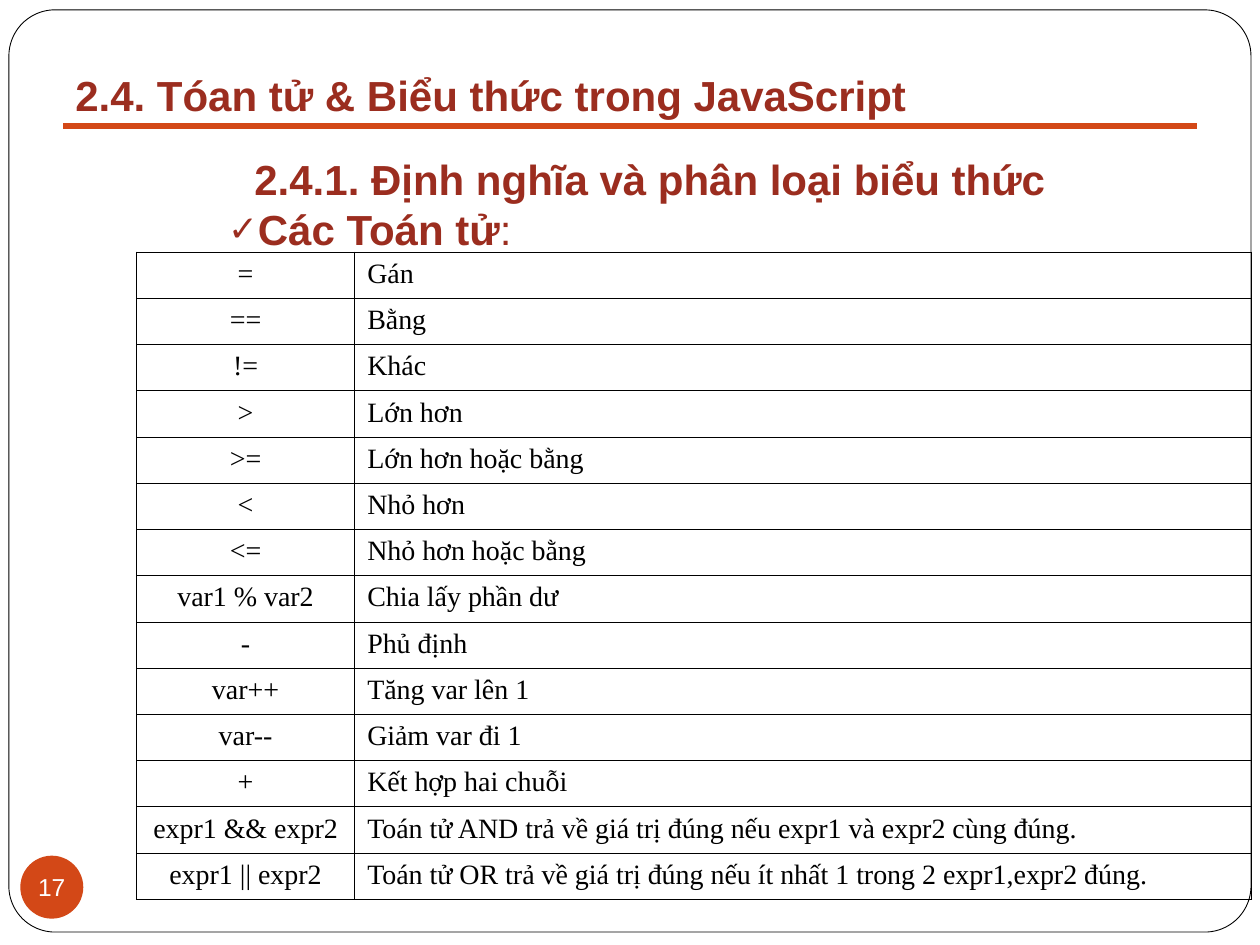
from lxml import etree
from pptx import Presentation
from pptx.dml.color import RGBColor
from pptx.enum import shapes, text
from pptx.oxml.ns import qn
from pptx.util import Cm, Pt

TITLE = "2.4. Tóan tử & Biểu thức trong JavaScript"
SECTION = "2.4.1. Định nghĩa và phân loại biểu thức"
TOPIC = "Các Toán tử"
PAGE = "17"
OPERATORS = [
    ("=", "Gán"),
    ("==", "Bằng"),
    ("!=", "Khác"),
    (">", "Lớn hơn"),
    (">=", "Lớn hơn hoặc bằng"),
    ("<", "Nhỏ hơn"),
    ("<=", "Nhỏ hơn hoặc bằng"),
    ("var1 % var2", "Chia lấy phần dư"),
    ("-", "Phủ định"),
    ("var++", "Tăng var lên 1"),
    ("var--", "Giảm var đi 1"),
    ("+", "Kết hợp hai chuỗi"),
    ("expr1 && expr2", "Toán tử AND trả về giá trị đúng nếu expr1 và expr2 cùng đúng."),
    ("expr1 || expr2", "Toán tử OR trả về giá trị đúng nếu ít nhất 1 trong 2 expr1,expr2 đúng."),
]

THEME = {
    "white": "FFFFFF", "black": "000000", "accent": "D34817", "heading": "9B2D1F",
    "sans": "Arial", "serif": "Times New Roman",
    "heading_size": 24, "cell_size": 16, "page_size": 14,
}
COL_WIDTHS = (4.4, 18.08)
ROW_HEIGHT = 0.93


def color(name):
    return RGBColor.from_string(THEME[name])


def add_run(p, words, size, font, tint, bold=False):
    r = p.add_run()
    r.text = words
    r.font.size = Pt(THEME[size])
    r.font.name = THEME[font]
    r.font.bold = bold
    r.font.color.rgb = color(tint)


def add_heading(p, words, bold=True):
    add_run(p, words, "heading_size", "sans", "heading", bold)


def add_filled(slide, kind, box, fill):
    sp = slide.shapes.add_shape(kind, *map(Cm, box))
    sp.shadow.inherit = False
    sp.fill.solid()
    sp.fill.fore_color.rgb = color(fill)
    sp.line.fill.background()
    return sp


def add_frame(slide):
    sp = add_filled(slide, shapes.MSO_SHAPE.ROUNDED_RECTANGLE, (0.18, 0.2, 25.04, 18.59), "white")
    sp.adjustments[0] = 0.05
    sp.line.color.rgb = color("black")
    sp.line.width = Pt(0.5)


def add_page_number(slide):
    sp = add_filled(slide, shapes.MSO_SHAPE.OVAL, (0.41, 17.25, 1.27, 1.27), "accent")
    tf = sp.text_frame
    tf.margin_left = tf.margin_right = tf.margin_top = tf.margin_bottom = 0
    tf.word_wrap = False
    tf.vertical_anchor = text.MSO_ANCHOR.MIDDLE
    p = tf.paragraphs[0]
    p.alignment = text.PP_ALIGN.CENTER
    add_run(p, PAGE, "page_size", "sans", "white")


def add_rule(slide):
    line = slide.shapes.add_connector(
        shapes.MSO_CONNECTOR.STRAIGHT, Cm(1.27), Cm(2.54), Cm(24.13), Cm(2.54))
    line.line.color.rgb = color("accent")
    line.line.width = Pt(3)
    etree.SubElement(line._element.spPr, qn("a:effectLst"))


def add_title(slide):
    tf = slide.shapes.add_textbox(Cm(1.27), Cm(1.27), Cm(17.8), Cm(1.27)).text_frame
    tf.word_wrap = True
    tf.vertical_anchor = text.MSO_ANCHOR.MIDDLE
    tf.paragraphs[0].alignment = text.PP_ALIGN.LEFT
    add_heading(tf.paragraphs[0], TITLE)


def indent(p, first):
    pPr = p._p.get_or_add_pPr()
    pPr.set("marL", str(Cm(2.54)))
    pPr.set("indent", str(Cm(first)))
    return pPr


def add_check_bullet(pPr):
    clr = etree.SubElement(pPr, qn("a:buClr"))
    etree.SubElement(clr, qn("a:srgbClr"), val=THEME["heading"])
    etree.SubElement(pPr, qn("a:buSzPct"), val="85000")
    etree.SubElement(pPr, qn("a:buFont"), typeface=THEME["sans"])
    etree.SubElement(pPr, qn("a:buChar"), char="✓")


def add_section(slide):
    tf = slide.shapes.add_textbox(Cm(2.34), Cm(2.97), Cm(21.79), Cm(2.29)).text_frame
    tf.word_wrap = True
    p = tf.paragraphs[0]
    indent(p, 0)
    add_heading(p, SECTION)
    p = tf.add_paragraph()
    add_check_bullet(indent(p, -0.53))
    add_heading(p, TOPIC)
    add_heading(p, ":", bold=False)


def add_borders(cell):
    tcPr = cell._tc.get_or_add_tcPr()
    for side in ("lnL", "lnR", "lnT", "lnB"):
        ln = etree.SubElement(tcPr, qn("a:" + side), w=str(Pt(0.45)))
        fill = etree.SubElement(ln, qn("a:solidFill"))
        etree.SubElement(fill, qn("a:srgbClr"), val=THEME["black"])


def add_operator_table(slide):
    table = slide.shapes.add_table(
        len(OPERATORS), len(COL_WIDTHS), Cm(2.75), Cm(5.08),
        Cm(sum(COL_WIDTHS)), Cm(ROW_HEIGHT * len(OPERATORS))).table
    table.first_row = table.horz_banding = False
    for col, width in zip(table.columns, COL_WIDTHS):
        col.width = Cm(width)
    aligns = (text.PP_ALIGN.CENTER, text.PP_ALIGN.JUSTIFY)
    for row, entry in zip(table.rows, OPERATORS):
        row.height = Cm(ROW_HEIGHT)
        for cell, words, align in zip(row.cells, entry, aligns):
            add_borders(cell)
            cell.fill.background()
            p = cell.text_frame.paragraphs[0]
            p.alignment = align
            add_run(p, words, "cell_size", "serif", "black")


def main():
    prs = Presentation()
    prs.slide_width, prs.slide_height = Cm(25.4), Cm(19.05)
    slide = prs.slides.add_slide(prs.slide_layouts[6])
    add_frame(slide)
    add_page_number(slide)
    add_rule(slide)
    add_title(slide)
    add_operator_table(slide)
    add_section(slide)
    prs.save("out.pptx")


if __name__ == "__main__":
    main()
